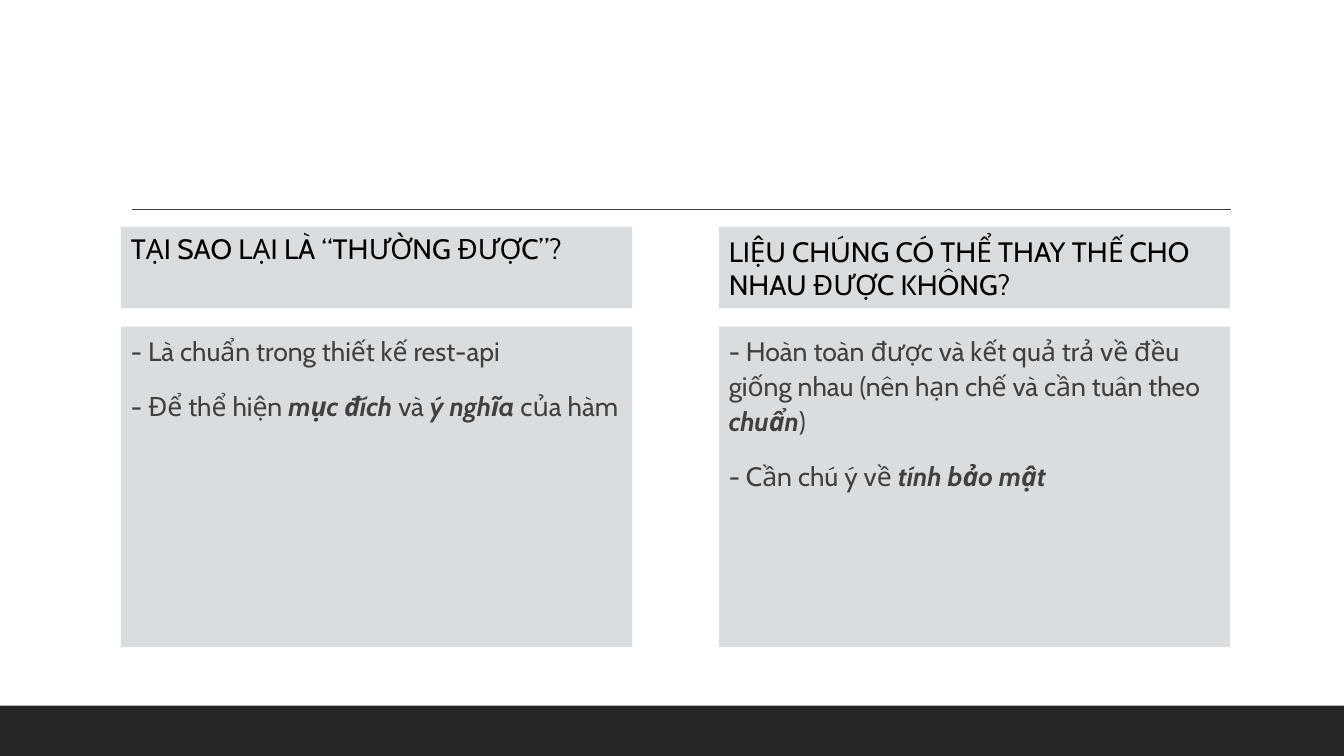
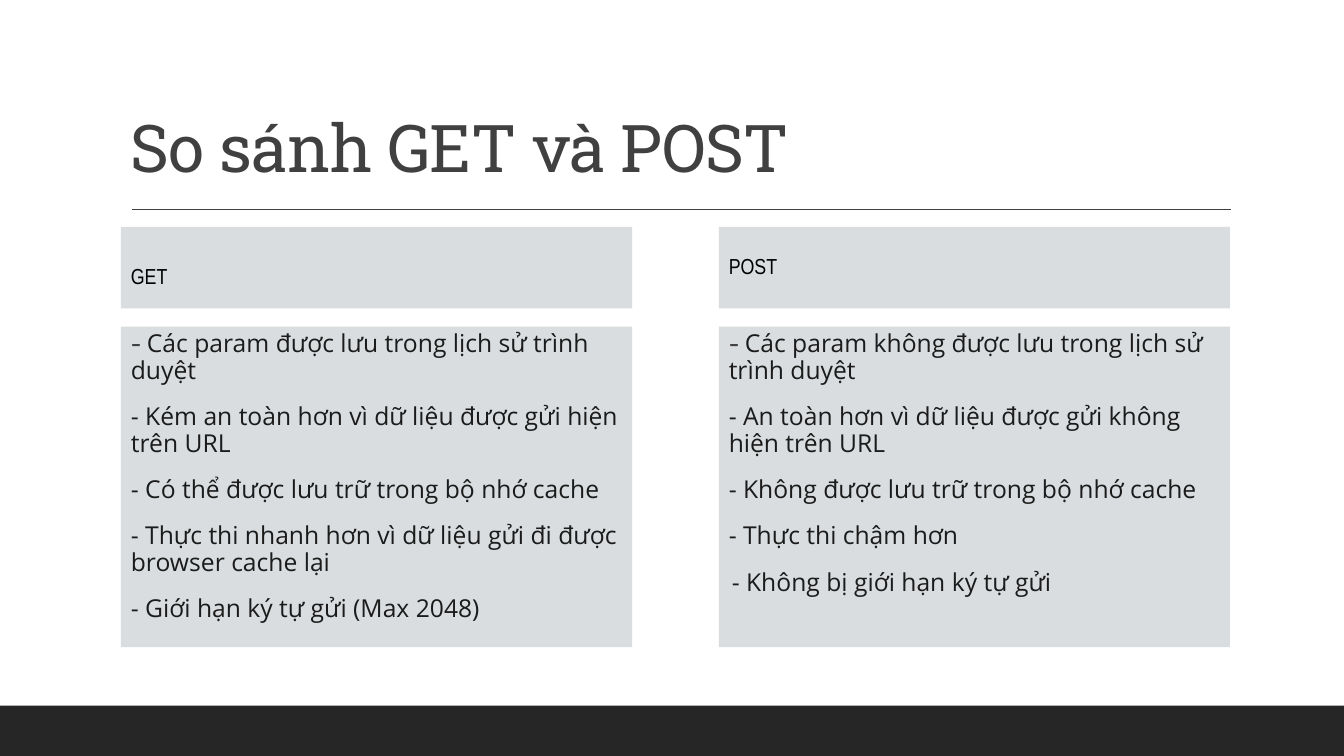
from dataclasses import dataclass, replace

from lxml import etree
from pptx import Presentation
from pptx.dml.color import RGBColor
from pptx.enum import shapes, text
from pptx.oxml.ns import qn
from pptx.util import Inches, Pt

# Colours
DARK_BAND = RGBColor(0x26, 0x26, 0x26)
GREY = RGBColor(0x40, 0x40, 0x40)
INK = RGBColor(0x1B, 0x1B, 0x1B)
BLACK = RGBColor(0x00, 0x00, 0x00)
PANEL = RGBColor(0xD9, 0xDD, 0xDF)

# Shared measures, in inches
PAGE_WIDTH, PAGE_HEIGHT = 13.33, 7.5
BAND_TOP = 7.0
RULE_LEFT, RULE_RIGHT, RULE_TOP = 1.31, 12.21, 2.08
COLUMN_LEFTS = (1.2, 7.13)
COLUMN_WIDTH = 5.07
HEADING_TOP, HEADING_HEIGHT = 2.25, 0.81
BODY_TOP, BODY_HEIGHT = 3.24, 3.18


@dataclass(frozen=True)
class Style:
    font: str
    size: float
    color: RGBColor
    emphasis: bool = False


@dataclass(frozen=True)
class Span:
    text: str
    style: Style


@dataclass(frozen=True)
class Line:
    spans: tuple[Span, ...]
    indent: float = 0


@dataclass(frozen=True)
class Column:
    heading: Line
    body: tuple[Line, ...]
    heading_anchor: text.MSO_ANCHOR = text.MSO_ANCHOR.MIDDLE
    heading_inset: float = 0.05


@dataclass(frozen=True)
class Content:
    columns: tuple[Column, Column]
    line_spacing: float | None
    body_spacing: float
    title: str = ""


# Text styles
TITLE = Style("Roboto Slab", 47, GREY)
QUESTION = Style("Cabin", 20, BLACK)
ANSWER = Style("Cabin", 19, GREY)
METHOD = Style("Arial Narrow", 15.5, BLACK)
POINT = Style("Open Sans", 17.6, INK)
FIRST_DASH = Style("Cabin", 17.6, GREY)


def line(words: str, style: Style, indent: float = 0) -> Line:
    """Make a line; words between asterisks are bold italic."""
    strong = replace(style, emphasis=True)
    parts = enumerate(words.split("*"))
    return Line(tuple(Span(part, strong if i % 2 else style) for i, part in parts if part), indent)


def first_point(words: str) -> Line:
    return Line((Span("- ", FIRST_DASH), Span(words, POINT)))


CONTENTS = (
    Content(
        columns=(
            Column(
                line("TẠI SAO LẠI LÀ “THƯỜNG ĐƯỢC”?", QUESTION),
                (
                    line("- Là chuẩn trong thiết kế rest-api", ANSWER),
                    line("- Để thể hiện *mục đích *và *ý nghĩa *của hàm", ANSWER),
                ),
                heading_anchor=text.MSO_ANCHOR.TOP,
            ),
            Column(
                line("LIỆU CHÚNG CÓ THỂ THAY THẾ CHO NHAU ĐƯỢC KHÔNG?", QUESTION),
                (
                    line("- Hoàn toàn được và kết quả trả về đều giống nhau "
                         "(nên hạn chế và cần tuân theo *chuẩn*)", ANSWER),
                    line("- Cần chú ý về *tính bảo mật*", ANSWER),
                ),
            ),
        ),
        line_spacing=None,
        body_spacing=1.1,
    ),
    Content(
        title="So sánh GET và POST",
        columns=(
            Column(
                line("GET", METHOD),
                (
                    first_point("Các param được lưu trong lịch sử trình duyệt"),
                    line("- Kém an toàn hơn vì dữ liệu được gửi hiện trên URL", POINT),
                    line("- Có thể được lưu trữ trong bộ nhớ cache", POINT),
                    line("- Thực thi nhanh hơn vì dữ liệu gửi đi được browser cache lại", POINT),
                    line("- Giới hạn ký tự gửi (Max 2048)", POINT),
                ),
                heading_inset=0.25,
            ),
            Column(
                line("POST", METHOD),
                (
                    first_point("Các param không được lưu trong lịch sử trình duyệt"),
                    line("- An toàn hơn vì dữ liệu được gửi không hiện trên URL", POINT),
                    line("- Không được lưu trữ trong bộ nhớ cache", POINT),
                    line("- Thực thi chậm hơn", POINT),
                    line("- Không bị giới hạn ký tự gửi", POINT, indent=0.03),
                ),
            ),
        ),
        line_spacing=0.9,
        body_spacing=0.9,
    ),
)


def add_block(page, left: float, top: float, width: float, height: float, color: RGBColor):
    box = page.shapes.add_shape(
        shapes.MSO_SHAPE.RECTANGLE, Inches(left), Inches(top), Inches(width), Inches(height)
    )
    box.shadow.inherit = False
    box.fill.solid()
    box.fill.fore_color.rgb = color
    box.line.fill.background()
    return box


def format_run(run, style: Style) -> None:
    run.font.name = style.font
    run.font.size = Pt(style.size)
    run.font.color.rgb = style.color
    run.font.bold = run.font.italic = style.emphasis


def write_lines(box, lines: tuple[Line, ...], spacing: float | None) -> None:
    frame = box.text_frame
    frame.word_wrap = True
    for index, item in enumerate(lines):
        para = frame.add_paragraph() if index else frame.paragraphs[0]
        para.alignment = text.PP_ALIGN.LEFT
        para.space_before, para.space_after = Pt(12), Pt(2)
        para.line_spacing = spacing
        if item.indent:
            para._p.get_or_add_pPr().set("marL", str(Inches(item.indent)))
        for span in item.spans:
            run = para.add_run()
            run.text = span.text
            format_run(run, span.style)


def add_frame(page) -> None:
    """Draw the bottom band and the rule under the title."""
    add_block(page, 0, BAND_TOP, PAGE_WIDTH, PAGE_HEIGHT - BAND_TOP, DARK_BAND)
    rule = page.shapes.add_connector(
        shapes.MSO_CONNECTOR.STRAIGHT,
        Inches(RULE_LEFT), Inches(RULE_TOP), Inches(RULE_RIGHT), Inches(RULE_TOP),
    )
    rule.line.color.rgb = GREY
    rule.line.width = Pt(1)
    etree.SubElement(rule._element.spPr, qn("a:effectLst"))


def add_title(page, words: str) -> None:
    box = page.shapes.add_textbox(Inches(1.2), Inches(0.31), Inches(11), Inches(1.59))
    frame = box.text_frame
    frame.word_wrap = True
    frame.vertical_anchor = text.MSO_ANCHOR.BOTTOM
    frame.text = words
    para = frame.paragraphs[0]
    para.line_spacing = 0.9
    run = para.runs[0]
    format_run(run, TITLE)
    run._r.get_or_add_rPr().set("spc", "-50")


def add_column(page, left: float, column: Column, content: Content) -> None:
    # Heading panel
    heading = add_block(page, left, HEADING_TOP, COLUMN_WIDTH, HEADING_HEIGHT, PANEL)
    heading.text_frame.vertical_anchor = column.heading_anchor
    heading.text_frame.margin_top = Inches(column.heading_inset)
    write_lines(heading, (column.heading,), content.line_spacing)

    # Body panel
    body = add_block(page, left, BODY_TOP, COLUMN_WIDTH, BODY_HEIGHT, PANEL)
    body.text_frame.vertical_anchor = text.MSO_ANCHOR.TOP
    body.text_frame.margin_left = Inches(0.1)
    body.text_frame.margin_right = 0
    write_lines(body, column.body, content.body_spacing)


def main() -> None:
    deck = Presentation()
    deck.slide_width, deck.slide_height = Inches(PAGE_WIDTH), Inches(PAGE_HEIGHT)
    for content in CONTENTS:
        page = deck.slides.add_slide(deck.slide_layouts[6])
        add_frame(page)
        if content.title:
            add_title(page, content.title)
        for left, column in zip(COLUMN_LEFTS, content.columns):
            add_column(page, left, column, content)
    deck.save("out.pptx")


if __name__ == "__main__":
    main()
